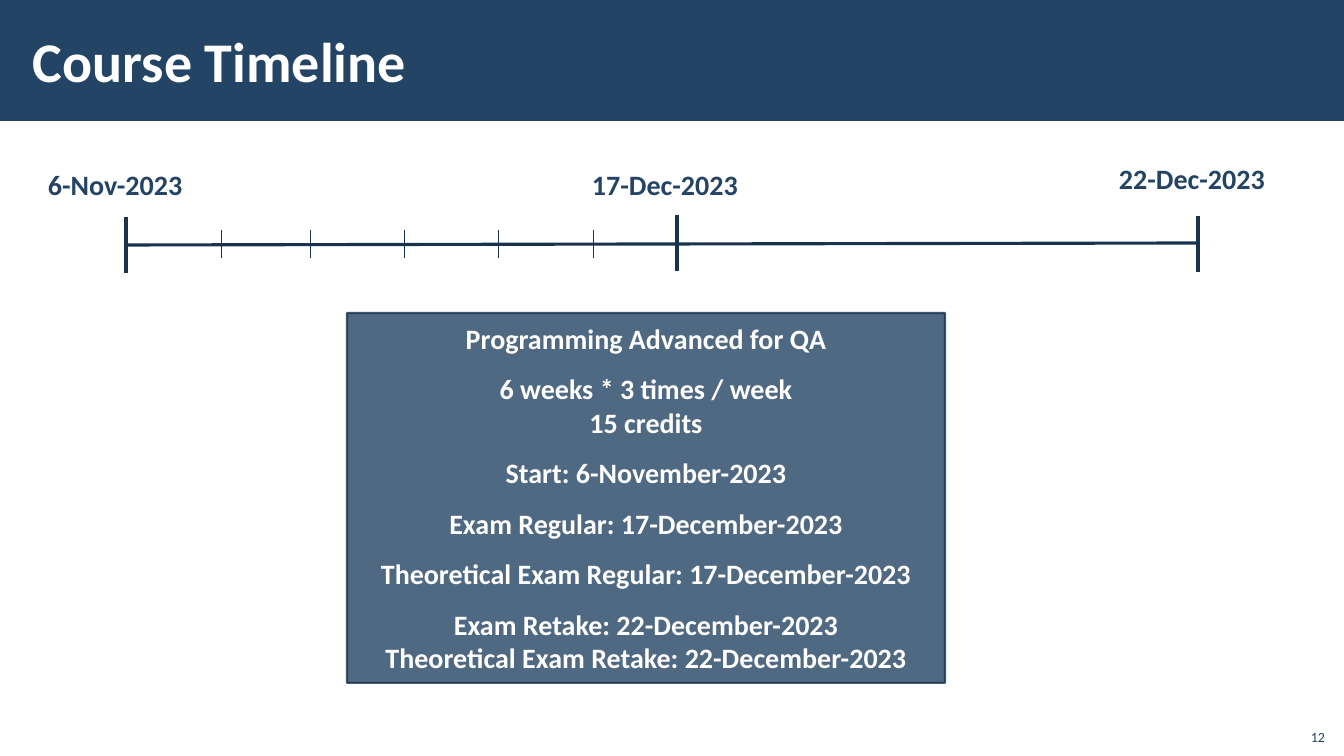
from lxml import etree
from pptx import Presentation
from pptx.dml.color import RGBColor
from pptx.enum.shapes import MSO_CONNECTOR, MSO_SHAPE
from pptx.enum.text import MSO_ANCHOR, MSO_AUTO_SIZE, PP_ALIGN
from pptx.oxml.ns import qn
from pptx.util import Emu, Pt

NAVY = RGBColor(0x23, 0x44, 0x65)
DARK = RGBColor(0x1A, 0x33, 0x4C)
WHITE = RGBColor(0xFF, 0xFF, 0xFF)
FONT = "Calibri"
RECT = MSO_SHAPE.RECTANGLE
STRAIGHT = MSO_CONNECTOR.STRAIGHT
LEFT, CENTER, RIGHT = PP_ALIGN.LEFT, PP_ALIGN.CENTER, PP_ALIGN.RIGHT
MIDDLE, TOP, BOTTOM = MSO_ANCHOR.MIDDLE, MSO_ANCHOR.TOP, MSO_ANCHOR.BOTTOM
NO_FIT = MSO_AUTO_SIZE.NONE

DATES = [("6-Nov-2023", 0, 0, 175), ("17-Dec-2023", 544, 0, 243),
         ("22-Dec-2023", 1071, -6, 208)]
MAJOR = [(88, 82), (639, 80), (1160, 81)]
MINOR = [183, 272, 366, 460, 555]
FACTS = [("Programming Advanced for QA", 0),
         ("6 weeks * 3 times / week", 12),
         ("15 credits", 0),
         ("Start: 6-November-2023", 12),
         ("Exam Regular: 17-December-2023", 12),
         ("Theoretical Exam Regular: 17-December-2023", 12),
         ("Exam Retake: 22-December-2023", 12),
         ("Theoretical Exam Retake: 22-December-2023", 0)]


def px(n):
    return Emu(round(n * 914400 / 100.8))


def style(frame, size, color, bold, align, anchor):
    frame.word_wrap = True
    frame.auto_size = NO_FIT
    frame.vertical_anchor = anchor
    for para in frame.paragraphs:
        para.alignment = align
        for run in para.runs:
            font = run.font
            font.name, font.size, font.bold = FONT, Pt(size), bold
            font.color.rgb = color


def block(slide, x, y, w, h, fill):
    shape = slide.shapes.add_shape(RECT, px(x), px(y), px(w), px(h))
    shape.shadow.inherit = False
    shape.fill.solid()
    shape.fill.fore_color.rgb = fill
    return shape


def label(slide, x, y, w, h, text, size, bold, align, anchor):
    box = slide.shapes.add_textbox(px(x), px(y), px(w), px(h))
    box.text_frame.text = text
    style(box.text_frame, size, NAVY, bold, align, anchor)


def stroke(slide, x1, y1, x2, y2, width):
    line = slide.shapes.add_connector(STRAIGHT, px(x1), px(y1), px(x2), px(y2))
    line.line.color.rgb = DARK
    line.line.width = Pt(width)
    etree.SubElement(line._element.spPr, qn("a:effectLst"))


def header(slide, x, y, w, h):
    band = block(slide, x, y, w, h, NAVY)
    band.line.fill.background()
    title = slide.shapes.title
    title._element.addprevious(band._element)
    title.left, title.top = px(x + 21), px(y + 11)
    title.width, title.height = px(1072), px(98)
    frame = title.text_frame
    frame.text = "Course Timeline"
    frame.margin_left = frame.margin_right = px(12)
    frame.margin_top = frame.margin_bottom = px(4)
    style(frame, 40, WHITE, True, LEFT, MIDDLE)


def timeline(slide, x, y):
    for text, dx, dy, w in DATES:
        label(slide, x + dx, y + dy, w, 44, text, 20, True, LEFT, TOP)
    first, last = MAJOR[0][0], MAJOR[-1][0]
    stroke(slide, x + first, y + 82, x + last, y + 80, 2.25)
    for dx, mid in MAJOR:
        stroke(slide, x + dx, y + mid - 28, x + dx, y + mid + 28, 2.25)
    for dx in MINOR:
        stroke(slide, x + dx, y + 67, x + dx, y + 95, 0.5)


def details(slide, x, y, w, h):
    card = block(slide, x, y, w, h, NAVY)
    card.line.color.rgb = DARK
    card.line.width = Pt(1.5)
    for color in card._element.spPr.iter(qn("a:srgbClr")):
        etree.SubElement(color, qn("a:alpha"), val="80000")
    frame = card.text_frame
    for i, (text, gap) in enumerate(FACTS):
        para = frame.add_paragraph() if i else frame.paragraphs[0]
        para.text = text
        if gap:
            para.space_before = Pt(gap)
    style(frame, 20, WHITE, True, CENTER, MIDDLE)


def main():
    deck = Presentation()
    deck.slide_width, deck.slide_height = px(1344), px(756)
    slide = deck.slides.add_slide(deck.slide_layouts[5])
    header(slide, 0, 0, 1344, 121)
    timeline(slide, 38, 163)
    details(slide, 347, 313, 598, 370)
    label(slide, 1295, 718, 40, 32, "12", 10, False, RIGHT, BOTTOM)
    deck.save("out.pptx")


if __name__ == "__main__":
    main()
